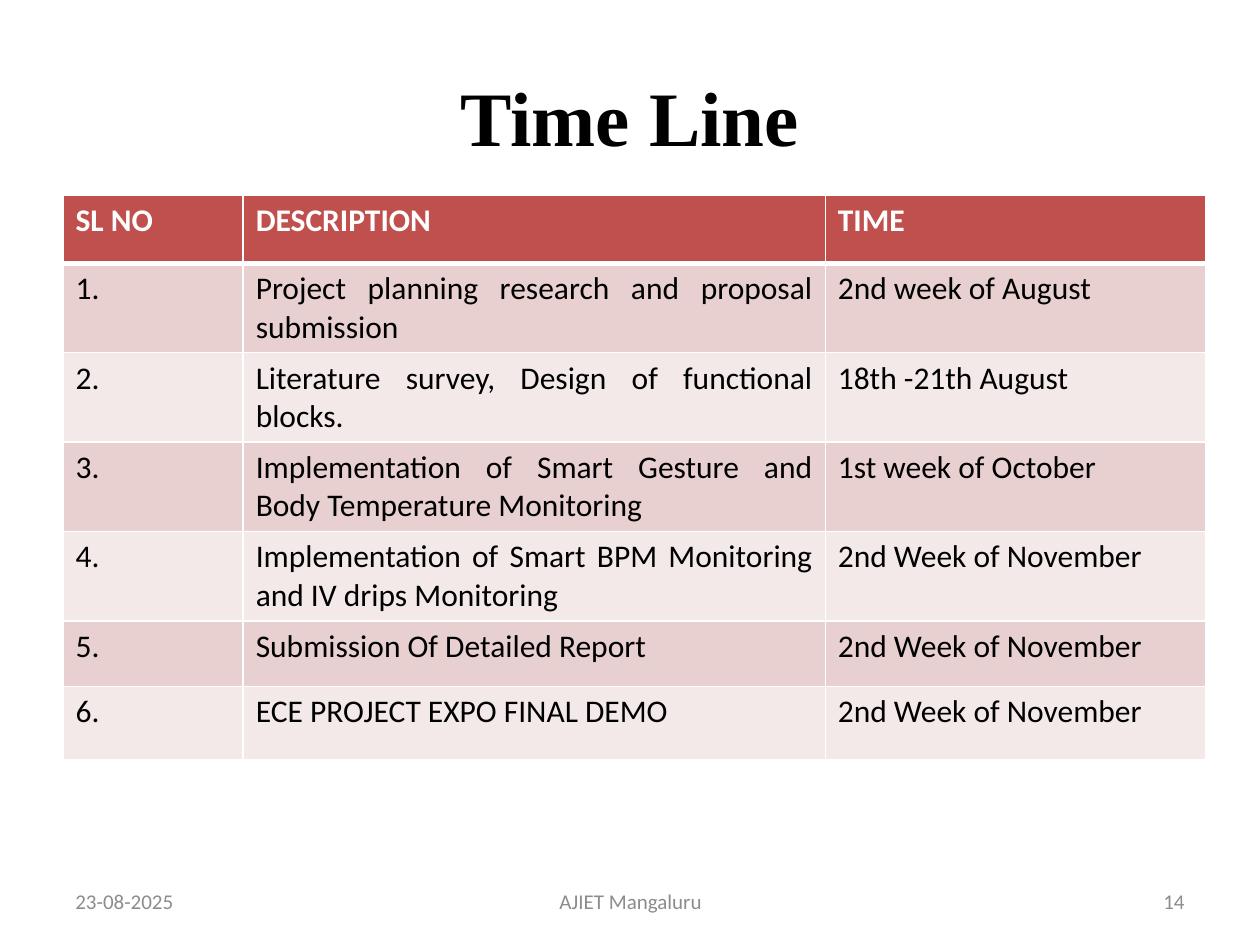
from dataclasses import dataclass

from lxml.etree import SubElement
from pptx import Presentation
from pptx.dml.color import RGBColor
from pptx.enum.text import MSO_ANCHOR, PP_ALIGN
from pptx.oxml.ns import qn
from pptx.util import Inches, Pt


@dataclass(frozen=True)
class Theme:
    """Colours, fonts and type sizes of the slide."""
    body: str = "Calibri"
    heading: str = "Times New Roman"
    black: str = "000000"
    white: str = "FFFFFF"
    grey: str = "8C8C8C"
    header: str = "C0504D"
    bands: tuple = ("E8D0D0", "F4E9E9")
    title_size: int = 44
    table_size: int = 18
    footer_size: int = 12


@dataclass(frozen=True)
class Footer:
    """One piece of footer text."""
    text: str
    left: float
    width: float
    align: PP_ALIGN


@dataclass(frozen=True)
class Task:
    """One row of the time line."""
    number: str
    description: str
    time: str
    height: float


THEME = Theme()
FOOTERS = (
    Footer("23-08-2025", 0.5, 2.33, PP_ALIGN.LEFT),
    Footer("AJIET Mangaluru", 3.42, 3.17, PP_ALIGN.CENTER),
    Footer("14", 7.17, 2.33, PP_ALIGN.RIGHT),
)
COLUMNS = (1.43, 4.62, 3.02)
TASKS = (
    Task("SL NO", "DESCRIPTION", "TIME", 0.54),
    Task("1.", "Project planning research and proposal submission", "2nd week of August", 0.71),
    Task("2.", "Literature survey, Design of functional blocks.", "18th -21th August", 0.71),
    Task("3.", "Implementation of Smart Gesture and Body Temperature Monitoring",
         "1st week of October", 0.71),
    Task("4.", "Implementation of Smart BPM Monitoring and IV drips Monitoring",
         "2nd Week of November", 0.71),
    Task("5.", "Submission Of Detailed Report", "2nd Week of November", 0.52),
    Task("6.", "ECE PROJECT EXPO FINAL DEMO", "2nd Week of November", 0.58),
)


def add_text(tf, text: str, align: PP_ALIGN, font: str, size: int, color: str,
             bold: bool = False) -> None:
    """Write one formatted run into the first paragraph."""
    p = tf.paragraphs[0]
    p.alignment = align
    r = p.add_run()
    r.text = text
    r.font.name, r.font.size, r.font.bold = font, Pt(size), bold
    r.font.color.rgb = RGBColor.from_string(color)


def add_borders(cell, top: int, bottom: int) -> None:
    """Give a cell white borders with the given top and bottom widths."""
    tc_pr = cell._tc.get_or_add_tcPr()
    for side, width in (("L", 1), ("R", 1), ("T", top), ("B", bottom)):
        ln = SubElement(tc_pr, qn(f"a:ln{side}"), w=str(Pt(width)))
        fill = SubElement(ln, qn("a:solidFill"))
        SubElement(fill, qn("a:srgbClr"), val=THEME.white)


def add_title(s, text: str) -> None:
    """Place and fill the title placeholder."""
    sp = s.shapes.title
    sp.left, sp.top, sp.width, sp.height = map(Inches, (0.75, 0.29, 8.5, 1.26))
    sp.text_frame.vertical_anchor = MSO_ANCHOR.MIDDLE
    add_text(sp.text_frame, text, PP_ALIGN.CENTER, THEME.heading, THEME.title_size,
             THEME.black, True)


def add_footer(s, footer: Footer) -> None:
    """Add one footer text box."""
    sp = s.shapes.add_textbox(Inches(footer.left), Inches(6.95),
                              Inches(footer.width), Inches(0.4))
    tf = sp.text_frame
    tf.word_wrap = True
    tf.vertical_anchor = MSO_ANCHOR.MIDDLE
    add_text(tf, footer.text, footer.align, THEME.body, THEME.footer_size, THEME.grey)


def add_timeline(s, tasks: tuple[Task, ...]) -> None:
    """Add the time line table with its header and banded rows."""
    height = sum(task.height for task in tasks)
    table = s.shapes.add_table(len(tasks), len(COLUMNS), Inches(0.5), Inches(1.55),
                               Inches(sum(COLUMNS)), Inches(height)).table
    table.horz_banding = False
    for column, width in zip(table.columns, COLUMNS):
        column.width = Inches(width)
    for i, (row, task) in enumerate(zip(table.rows, tasks)):
        row.height = Inches(task.height)
        is_header = i == 0
        fill = THEME.header if is_header else THEME.bands[(i - 1) % 2]
        color = THEME.white if is_header else THEME.black
        for cell, text in zip(row.cells, (task.number, task.description, task.time)):
            add_borders(cell, 3 if i == 1 else 1, 3 if is_header else 1)
            cell.fill.solid()
            cell.fill.fore_color.rgb = RGBColor.from_string(fill)
            add_text(cell.text_frame, text, PP_ALIGN.JUSTIFY, THEME.body,
                     THEME.table_size, color, is_header)


def main() -> None:
    """Build and save the slide."""
    prs = Presentation()
    prs.slide_width, prs.slide_height = Inches(10), Inches(7.5)
    s = prs.slides.add_slide(prs.slide_layouts[5])
    for footer in FOOTERS:
        add_footer(s, footer)
    add_title(s, "Time Line")
    add_timeline(s, TASKS)
    prs.save("out.pptx")


if __name__ == "__main__":
    main()
